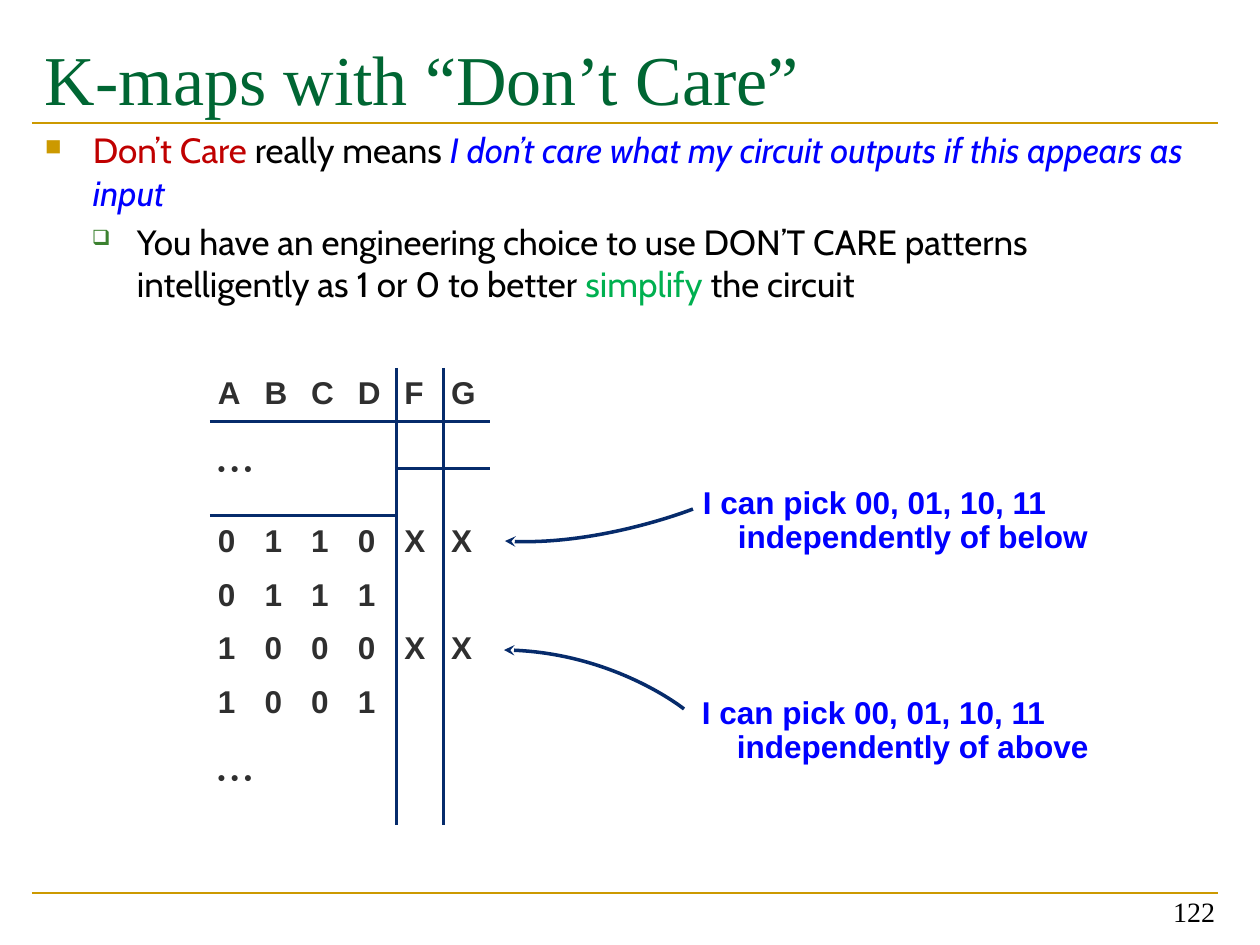
from dataclasses import dataclass

from lxml import etree
from pptx import Presentation
from pptx.dml.color import RGBColor
from pptx.enum.shapes import MSO_CONNECTOR
from pptx.enum.text import MSO_ANCHOR, PP_ALIGN
from pptx.oxml.ns import qn
from pptx.util import Pt

SCALE = 914400 / 126
LINE = MSO_CONNECTOR.STRAIGHT
TOP, MIDDLE, BOTTOM = MSO_ANCHOR.TOP, MSO_ANCHOR.MIDDLE, MSO_ANCHOR.BOTTOM
LEFT, RIGHT = PP_ALIGN.LEFT, PP_ALIGN.RIGHT
PLAIN = "{2D5ABB26-0587-4C30-8999-92F81FD0307C}"


@dataclass(frozen=True)
class Theme:
    serif: str = "Times New Roman"
    body: str = "Cabin"
    sans: str = "Arial"
    gold: str = "CC9900"
    green: str = "006633"
    moss: str = "3B812F"
    lime: str = "00B050"
    red: str = "C00000"
    blue: str = "0000FF"
    navy: str = "062B6B"
    ink: str = "000000"
    gray: str = "2F2F2F"
    title: int = 40
    text: int = 20
    label: int = 18
    page: int = 16
    dots: int = 12
    rule: float = 1.5
    grid: int = 2


THEME = Theme()


def px(n):
    return round(n * SCALE)


def rgb(code):
    return RGBColor.from_string(code)


def style(font, face, size, color, bold=False, italic=False):
    font.name, font.size = face, Pt(size)
    font.color.rgb = rgb(color)
    font.bold, font.italic = bold, italic


def node(parent, tag, **attrs):
    return etree.SubElement(parent, qn(tag), {k: str(v) for k, v in attrs.items()})


def indent(para, left, first=0):
    props = para._p.get_or_add_pPr()
    props.set("marL", str(px(left)))
    props.set("indent", str(px(first)))
    return props


def text_box(slide, box, inset=(13, 6, 13, 6), anchor=TOP):
    frame = slide.shapes.add_textbox(*map(px, box)).text_frame
    frame.word_wrap = True
    frame.vertical_anchor = anchor
    (frame.margin_left, frame.margin_top,
     frame.margin_right, frame.margin_bottom) = map(px, inset)
    return frame


def one_line(slide, box, text, size, color, inset, anchor, align):
    frame = text_box(slide, box, inset, anchor)
    frame.text = text
    para = frame.paragraphs[0]
    para.alignment = align
    style(para.runs[0].font, THEME.serif, size, color)


def add_rule(slide, x, y, w):
    line = slide.shapes.add_connector(LINE, px(x), px(y), px(x + w), px(y))
    line.line.color.rgb = rgb(THEME.gold)
    line.line.width = Pt(THEME.rule)
    node(line._element.spPr, "a:effectLst")


def add_frame(slide, box):
    x, y, w, h = box
    for top in (123, 893):
        add_rule(slide, x, y + top, w)
    one_line(slide, (x, y + 21, w, 100), "K-maps with “Don’t Care”",
             THEME.title, THEME.green, (13, 15, 13, 0), TOP, LEFT)
    one_line(slide, (x + w - 284, y + 871, 294, 63), "122",
             THEME.page, THEME.ink, (13, 6, 13, 6), BOTTOM, RIGHT)


def add_body(slide, box):
    items = [
        (48, -48, "■", THEME.gold, 65, [
            ("Don’t Care ", THEME.red, False),
            ("really means ", THEME.ink, False),
            ("I don’t care what my circuit outputs if this appears as input",
             THEME.blue, True)]),
        (92, -45, "❑", THEME.moss, 60, [
            ("You have an engineering choice to use DON’T CARE patterns "
             "intelligently as 1 or 0 to better ", THEME.ink, False),
            ("simplify", THEME.lime, False),
            (" the circuit", THEME.ink, False)]),
    ]
    frame = text_box(slide, box)
    for i, (left, first, mark, color, size, runs) in enumerate(items):
        para = frame.add_paragraph() if i else frame.paragraphs[0]
        para.space_before = Pt(4 if i else 0)
        props = indent(para, left, first)
        node(node(props, "a:buClr"), "a:srgbClr", val=color)
        node(props, "a:buSzPct", val=size * 1000)
        node(props, "a:buChar", char=mark)
        for text, tint, slant in runs:
            run = para.add_run()
            run.text = text
            style(run.font, THEME.body, THEME.text, tint, italic=slant)


def add_edges(cell, sides):
    props = cell._tc.get_or_add_tcPr()
    for side in sides:
        line = node(props, "a:ln" + side, w=Pt(THEME.grid))
        node(node(line, "a:solidFill"), "a:srgbClr", val=THEME.navy)


def edges(r, c):
    hits = {"L": c == 4, "R": c == 3, "T": r == 1, "B": r == 0}
    return [side for side, hit in hits.items() if hit]


def add_truth(slide, box):
    dots = "• • •"
    rows = ["ABCDFG", [dots], "", "0110XX", "0111", "1000XX", "1001", [dots], ""]
    wide = 6
    table = slide.shapes.add_table(len(rows), wide, *map(px, box)).table
    table.first_row = table.horz_banding = False
    table._tbl.tblPr.find(qn("a:tableStyleId")).text = PLAIN
    for col in table.columns:
        col.width = px(box[2] / wide)
    for r, row in enumerate(rows):
        full = len(row) > 1
        table.rows[r].height = px(52 if full else 47)
        for c in range(wide):
            cell = table.cell(r, c)
            cell.margin_left = cell.margin_right = px(8)
            cell.margin_top = cell.margin_bottom = px(8)
            add_edges(cell, edges(r, c))
            cell.fill.background()
            cell.text = row[c] if c < len(row) else ""
            style(cell.text_frame.paragraphs[0].font, THEME.sans,
                  THEME.label if full else THEME.dots, THEME.gray, bold=True)
        if row == [dots]:
            cell = table.cell(r, 0)
            cell.merge(table.cell(r + 1, 3))
            cell.vertical_anchor = MIDDLE


def add_curve(slide, start, bend, end):
    draw = slide.shapes.build_freeform(*start, scale=SCALE)
    draw.add_line_segments([end], close=False)
    shape = draw.convert_to_shape()
    shape.shadow.inherit = False
    shape.fill.background()
    shape.line.color.rgb = rgb(THEME.navy)
    shape.line.width = Pt(THEME.grid)
    node(shape.line._get_or_add_ln(), "a:tailEnd", type="stealth")
    left, top = (min(pair) for pair in zip(start, end))
    seg = next(shape._element.iter(qn("a:lnTo")))
    seg.tag = qn("a:cubicBezTo")
    seg.remove(seg[0])
    for x, y in (start, bend, end):
        node(seg, "a:pt", x=x - left, y=y - top)


def add_note(slide, box, word, start, bend, end):
    x, y = box[:2]
    frame = text_box(slide, box, (8, 8, 8, 8))
    frame.text = f"I can pick 00, 01, 10, 11\nindependently of {word}"
    for para, left in zip(frame.paragraphs, (5, 40)):
        indent(para, left)
        para.line_spacing = 0.9
        style(para.runs[0].font, THEME.sans, THEME.label, THEME.blue, bold=True)
    add_curve(slide, *((x + dx, y + dy) for dx, dy in (start, bend, end)))


def main():
    deck = Presentation()
    deck.slide_width, deck.slide_height = px(1260), px(945)
    slide = deck.slides.add_slide(deck.slide_layouts[6])
    add_frame(slide, (32, 0, 1186, 945))
    add_body(slide, (32, 123, 1186, 200))
    add_truth(slide, (210, 368, 280, 448))
    add_note(slide, (690, 479, 413, 83), "below", (3, 30), (-93, 68), (-185, 62))
    add_note(slide, (689, 689, 416, 83), "above", (-5, 20), (-77, -38), (-185, -39))
    deck.save("out.pptx")


if __name__ == "__main__":
    main()
